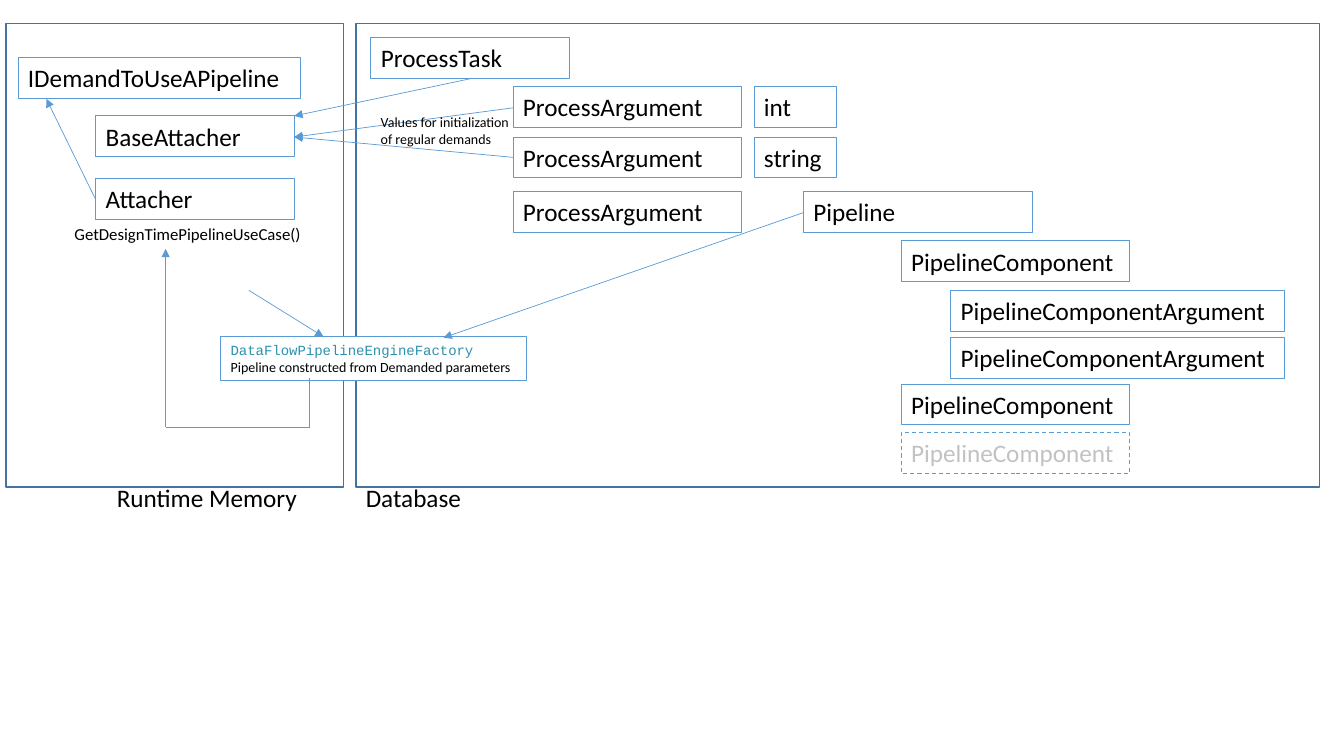
from collections import namedtuple
from dataclasses import dataclass
from itertools import pairwise

from lxml import etree
from pptx import Presentation
from pptx.dml.color import RGBColor
from pptx.enum.dml import MSO_LINE
from pptx.enum.shapes import MSO_CONNECTOR, MSO_SHAPE
from pptx.enum.text import MSO_ANCHOR, MSO_AUTO_SIZE, PP_ALIGN
from pptx.oxml.ns import qn
from pptx.util import Pt

RECTANGLE = MSO_SHAPE.RECTANGLE
STRAIGHT = MSO_CONNECTOR.STRAIGHT
DASH = MSO_LINE.DASH
LEFT = PP_ALIGN.LEFT
TOP = MSO_ANCHOR.TOP
GROW = MSO_AUTO_SIZE.SHAPE_TO_FIT_TEXT

Box = namedtuple("Box", "left top width height")


@dataclass(frozen=True)
class Theme:
    black: RGBColor = RGBColor(0x00, 0x00, 0x00)
    white: RGBColor = RGBColor(0xFF, 0xFF, 0xFF)
    edge: RGBColor = RGBColor(0x5B, 0x9B, 0xD5)
    panel_edge: RGBColor = RGBColor(0x43, 0x73, 0x9E)
    code: RGBColor = RGBColor(0x2B, 0x91, 0xAF)
    sans: str = "Calibri"
    mono: str = "Courier New"
    label: float = 18
    method: float = 12
    note: float = 10
    panel_line: float = 1
    box_line: float = 0.75
    arrow_line: float = 0.5
    faded_alpha: int = 24000


THEME = Theme()
ROW_HEIGHT = 29.1
ATTACHER_WIDTH = 141.8
COMPONENT_WIDTH = 163.4
TYPE_WIDTH = 59
ARGUMENT_WIDTH = 238.3
CAPTION_TOP = 324.7


def apply_format(target, values):
    for name, value in values.items():
        setattr(target, name, value)


def place(parent, left, top, width, height=ROW_HEIGHT):
    return Box(parent.left + left, parent.top + top, width, height)


def write(shape, lines, size, wrap=True, font=THEME.sans):
    frame = shape.text_frame
    apply_format(frame, {"word_wrap": wrap, "auto_size": GROW, "vertical_anchor": TOP})
    for index, line in enumerate(lines):
        para = frame.add_paragraph() if index else frame.paragraphs[0]
        para.alignment = LEFT
        span = para.add_run()
        span.text = line
        apply_format(span.font, {"size": Pt(size), "name": font})
        span.font.color.rgb = THEME.black


def add_rectangle(page, box, color=THEME.edge, weight=THEME.box_line):
    shape = page.shapes.add_shape(RECTANGLE, *map(Pt, box))
    shape.shadow.inherit = False
    shape.fill.background()
    shape.line.color.rgb = color
    shape.line.width = Pt(weight)
    return shape


def add_named_box(page, box, name):
    shape = add_rectangle(page, box)
    write(shape, [name], THEME.label)
    return shape


def add_text(page, box, lines, size):
    write(page.shapes.add_textbox(*map(Pt, box)), lines, size, wrap=False)


def add_line(page, start, end, arrow=True):
    connector = page.shapes.add_connector(STRAIGHT, *map(Pt, start + end))
    connector.line.color.rgb = THEME.edge
    connector.line.width = Pt(THEME.arrow_line)
    properties = connector._element.spPr
    if arrow:
        etree.SubElement(properties.find(qn("a:ln")), qn("a:tailEnd"), type="triangle")
    etree.SubElement(properties, qn("a:effectLst"))


def fade(shape):
    color = shape.text_frame.paragraphs[0].runs[0].font._element.find(".//" + qn("a:srgbClr"))
    etree.SubElement(color, qn("a:alpha"), val=str(THEME.faded_alpha))
    shape.line.dash_style = DASH


def add_panel(page, box):
    add_rectangle(page, box, THEME.panel_edge, THEME.panel_line)


def add_runtime_memory(page, box):
    add_panel(page, box)
    add_named_box(page, place(box, 8.6, 24.5, 201.6), "IDemandToUseAPipeline")
    for name, top in (("BaseAttacher", 66.2), ("Attacher", 110.9)):
        add_named_box(page, place(box, 64.1, top, ATTACHER_WIDTH), name)
    add_text(page, place(box, 41.8, 139.7, 178.6, 21.8),
             ["GetDesignTimePipelineUseCase()"], THEME.method)
    add_text(page, place(box, 72, CAPTION_TOP, 144.7), ["Runtime Memory"], THEME.label)


def add_database(page, box):
    add_panel(page, box)
    add_named_box(page, place(box, 10.8, 10.1, ATTACHER_WIDTH), "ProcessTask")
    columns = (
        ("ProcessArgument", 112.3, COMPONENT_WIDTH, (45.4, 81.4, 120.2)),
        ("int", 284.4, TYPE_WIDTH, (45.4,)),
        ("string", 284.4, TYPE_WIDTH, (81.4,)),
        ("Pipeline", 319.7, COMPONENT_WIDTH, (120.2,)),
        ("PipelineComponentArgument", 424.8, ARGUMENT_WIDTH, (190.8, 224.6)),
        ("PipelineComponent", 389.5, COMPONENT_WIDTH, (155.5, 257.8, 292.3)),
    )
    for name, left, width, tops in columns:
        for top in tops:
            named_box = add_named_box(page, place(box, left, top, width), name)
    fade(named_box)
    add_text(page, place(box, 0, CAPTION_TOP, 83.5), ["Database"], THEME.label)


def add_demand_arrows(page, box):
    base_attacher = (205.9, 81.3)
    arrows = (
        ((331.9, 39.6), (205.9, 66.2)),
        ((64.1, 126), (28.8, 54)),
        ((362.2, 60.4), base_attacher),
        ((362.2, 95.8), base_attacher),
    )
    for start, end in arrows:
        add_line(page, *((box.left + x, box.top + y) for x, y in (start, end)))
    add_text(page, place(box, 260.6, 61.2, 110.2, 31.7),
             ["Values for initialization", "of regular demands"], THEME.note)


def add_factory(page, box):
    shape = add_rectangle(page, box)
    shape.fill.solid()
    shape.fill.fore_color.rgb = THEME.white
    write(shape, ["DataFlowPipelineEngineFactory", "Pipeline constructed from Demanded parameters"],
          THEME.note, wrap=False)
    code = shape.text_frame.paragraphs[0].runs[0].font
    code.name = THEME.mono
    code.color.rgb = THEME.code
    for start, end in (((20.1, -33.1), (73.4, 0)), ((416.1, -88.6), (159.1, 0.7))):
        add_line(page, *((box.left + x, box.top + y) for x, y in (start, end)))
    corners = [(box.left + x, box.top + y)
               for x, y in ((63.5, 29.5), (63.5, 64.8), (-39.4, 64.8), (-39.4, -62.7))]
    for start, end in pairwise(corners):
        add_line(page, start, end, arrow=end == corners[-1])


deck = Presentation()
apply_format(deck, {"slide_width": Pt(960), "slide_height": Pt(540)})
page = deck.slides.add_slide(deck.slide_layouts[6])
memory_box = Box(4.3, 16.6, 241.2, 331.2)
add_runtime_memory(page, memory_box)
add_database(page, Box(254.2, 16.6, 688.3, 331.2))
add_demand_arrows(page, memory_box)
add_factory(page, Box(157.7, 240.5, 218.2, 31.7))
deck.save("out.pptx")
